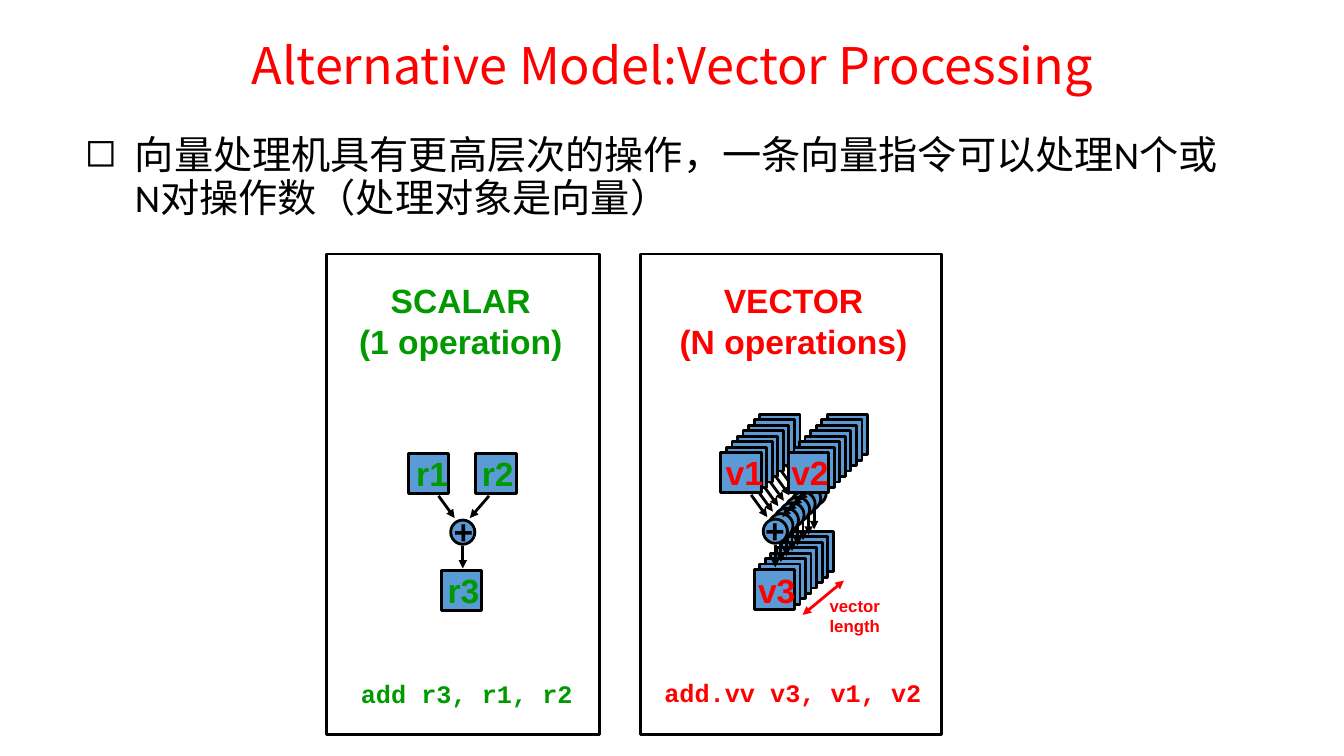
"""Builds a slide comparing a scalar addition with a vector addition."""
from pptx import Presentation
from pptx.dml.color import RGBColor as RGB
from pptx.enum.shapes import MSO_CONNECTOR as LINK, MSO_SHAPE as SHAPE
from pptx.enum.text import MSO_ANCHOR as ANCHOR, MSO_AUTO_SIZE as FIT, PP_ALIGN as ALIGN
from pptx.oxml.ns import qn
from pptx.oxml.xmlchemy import OxmlElement as Node
from pptx.util import Inches, Pt

HUES = {"black": "000000", "red": "FF0000", "green": "009900", "blue": "5B9BD5"}
CJK = "Noto Sans CJK SC"

deck = Presentation()
deck.slide_width, deck.slide_height = Inches(13.33), Inches(7.5)
slide = deck.slides.add_slide(deck.slide_layouts[6])
shapes = slide.shapes


def write(box, lines, size, hue, font="Arial", bold=True, align=None, wrap=False):
    """Add a text box with one paragraph per line and return its frame."""
    frame = shapes.add_textbox(*map(Inches, box)).text_frame
    frame.word_wrap = wrap
    frame.auto_size = FIT.NONE if wrap else FIT.SHAPE_TO_FIT_TEXT
    for i, line in enumerate(lines):
        para = frame.paragraphs[0] if i == 0 else frame.add_paragraph()
        para.alignment = align
        run = para.add_run()
        run.text = line
        run.font.name, run.font.size, run.font.bold = font, Pt(size), bold
        run.font.color.rgb = RGB.from_string(HUES[hue])
        east = Node("a:ea")
        east.set("typeface", CJK)
        run.font._element.find(qn("a:latin")).addnext(east)
    return frame


def ink(item, hue="black", ends=()):
    """Outline a shape, or draw a connector with the given arrowheads."""
    item.line.color.rgb = RGB.from_string(HUES[hue])
    item.line.width = Pt(2)
    props = item._element.spPr
    for end in ends:
        head = Node(end)
        head.set("type", "triangle")
        props.find(qn("a:ln")).append(head)
    props.append(Node("a:effectLst"))


title = write((0.92, 0.4, 11.5, 0.6), ["Alternative Model:Vector Processing"], 36, "red",
              CJK, False, ALIGN.CENTER, True)
title.vertical_anchor = ANCHOR.BOTTOM
title.paragraphs[0].line_spacing = 0.9

body = write((0.74, 1.3, 11.5, 4.76),
             ["向量处理机具有更高层次的操作，一条向量指令可以处理N个或N对操作数（处理对象是向量）"],
             28, "black", "Calibri", False, wrap=True)
point = body.paragraphs[0]
point.line_spacing, point.space_before = 0.9, Pt(10)
props = point._p.get_or_add_pPr()
props.set("marL", str(Inches(0.5)))
props.set("indent", str(-Inches(0.5)))
mark = Node("a:buChar")
mark.set("char", "◻")
props.append(mark)

for left, width in [(3.24, 2.71), (6.35, 2.99)]:
    panel = shapes.add_shape(SHAPE.RECTANGLE, *map(Inches, (left, 2.52, width, 4.77)))
    panel.fill.background()
    ink(panel)

parts = [(SHAPE.OVAL, 0, 0, 0.24), (SHAPE.RECTANGLE, -0.42, -0.66, 0.4),
         (SHAPE.RECTANGLE, 0.25, -0.66, 0.4), (SHAPE.RECTANGLE, -0.09, 0.5, 0.4)]
flows = [(-0.12, -0.24, 0.04, -0.02), (0.38, -0.24, 0.19, -0.02), (0.12, 0.26, 0.12, 0.48)]
layers = [(7.57 + 0.055 * i, 5.15 - 0.054 * i) for i in reversed(range(8))]

for x, y in [(4.47, 5.16)] + layers:
    for kind, dx, dy, side in parts:
        part = shapes.add_shape(kind, *map(Inches, (x + dx, y + dy, side, side)))
        part.fill.solid()
        part.fill.fore_color.rgb = RGB.from_string(HUES["blue"])
        ink(part)
    for x1, y1, x2, y2 in flows:
        ends = map(Inches, (x + x1, y + y1, x + x2, y + y2))
        ink(shapes.add_connector(LINK.STRAIGHT, *ends), ends=["a:tailEnd"])

span = shapes.add_connector(LINK.STRAIGHT, *map(Inches, (8.37, 5.76, 7.96, 6.1)))
ink(span, "red", ["a:headEnd", "a:tailEnd"])

labels = [("r1", 4.03, 4.44, "green"), ("r2", 4.68, 4.44, "green"), ("r3", 4.34, 5.6, "green"),
          ("v1", 7.1, 4.43, "red"), ("v2", 7.75, 4.43, "red"), ("v3", 7.42, 5.6, "red"),
          ("+", 4.4, 5.02, "black"), ("+", 7.49, 5.01, "black")]
widths = {"r": 0.52, "v": 0.57, "+": 0.4}
for label, x, y, hue in labels:
    write((x, y, widths[label[0]], 0.5), [label], 24, hue)

write((8.13, 5.86, 0.7, 0.5), ["vector", "length"], 12, "red", wrap=True)
write((3.48, 6.68, 2.31, 0.4), ["add r3, r1, r2"], 18, "green", "Courier New")
write((6.49, 6.67, 2.76, 0.4), ["add.vv v3, v1, v2"], 18, "red", "Courier New")
write((3.45, 2.73, 2.24, 0.91), ["SCALAR", "(1 operation)"], 24, "green", align=ALIGN.CENTER)
write((6.63, 2.73, 2.48, 0.91), ["VECTOR", "(N operations)"], 24, "red", align=ALIGN.CENTER)

deck.save("out.pptx")
